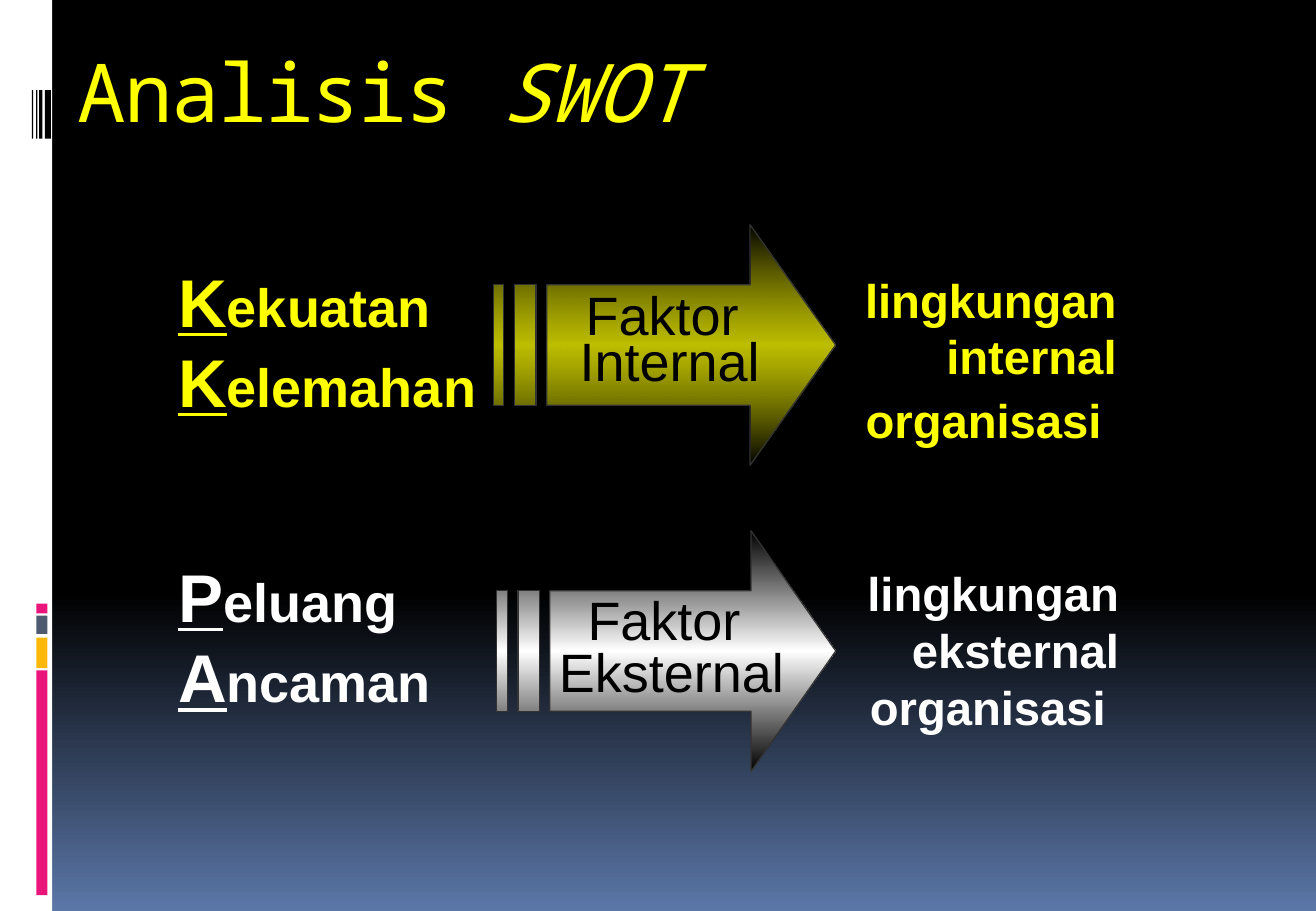
from pptx import Presentation
from pptx import util as u
from pptx.dml.color import RGBColor
from pptx.enum import shapes, text
from pptx.oxml import parse_xml
from pptx.oxml.ns import nsdecls, qn

YELLOW, WHITE, BLACK, PINK = "FFFF00", "FFFFFF", "000000", "EA157A"


def colour(value):
    return RGBColor.from_string(value)


def fill_gradient(fill, element, stops):
    """Fill from top to bottom with (percent, colour, opacity) stops."""
    fill.gradient()
    fill.gradient_angle = 270
    stop_list = next(element.iter(qn("a:gsLst")))
    for stop in list(stop_list):
        stop_list.remove(stop)
    for percent, value, opacity in stops:
        stop_list.append(parse_xml(
            f'<a:gs {nsdecls("a")} pos="{percent * 1000}"><a:srgbClr val="{value}">'
            f'<a:alpha val="{opacity * 1000}"/></a:srgbClr></a:gs>'))


def add_bar(page, left, top, width, height, value):
    bar = page.shapes.add_shape(shapes.MSO_SHAPE.RECTANGLE,
                                u.Pt(left), u.Pt(top), u.Pt(width), u.Pt(height))
    bar.shadow.inherit = False
    bar.fill.solid()
    bar.fill.fore_color.rgb = colour(value)
    bar.line.fill.background()


def add_text(page, left, top, width, height, spans, font_name, value, bold=False):
    """Add one paragraph of (words, size) spans."""
    box = page.shapes.add_textbox(u.Pt(left), u.Pt(top), u.Pt(width), u.Pt(height))
    box.text_frame.word_wrap = True
    para = box.text_frame.paragraphs[0]
    para.font.name = font_name
    para.font.bold = bold
    para.font.color.rgb = colour(value)
    for words, size in spans:
        span = para.add_run()
        span.text = words
        span.font.size = u.Pt(size)
    return para


def add_side_strip(page, width, height):
    add_bar(page, 0, 0, width, height, WHITE)
    # Coloured blocks
    for top, block_height, value in ((397.4, 133.2, PINK), (378, 18, "FEB80A"),
                                     (365, 10.8, "4E5B6F"), (357.8, 5.8, PINK)):
        add_bar(page, 21.6, top, 6.5, block_height, value)
    # Thin black stripes
    for left, stripe_width in ((26.6, 3.6), (23.2, 2), (21.4, 0.8), (18.9, 0.8)):
        add_bar(page, left, 53.4, stripe_width, 28.8, BLACK)


def add_title(page, left, top, width, height):
    para = add_text(page, left, top, width, height,
                    [("Analisis ", 48), ("SWOT", 48)], "Noto Sans Mono", YELLOW)
    para.runs[1].font.italic = True
    for span in para.runs:
        span.font._element.set("spc", "-100")


def add_arrow(page, left, top, width, height, lines, spacing, value, opacity):
    """Striped arrow; stripes and shaft sit on a grid of 32 by 4."""
    def point(column, row):
        return u.Pt(left + column * width / 32), u.Pt(top + row * height / 4)

    outlines = [[(24, 0), (24, 1), (5, 1), (5, 3), (24, 3), (24, 4), (32, 2)]]
    outlines += [[(a, 1), (a, 3), (b, 3), (b, 1)] for a, b in ((2, 4), (0, 1))]
    builder = page.shapes.build_freeform(*point(*outlines[0][0]))
    for index, outline in enumerate(outlines):
        if index:
            builder.move_to(*point(*outline[0]))
        builder.add_line_segments([point(*corner) for corner in outline[1:]], close=True)
    arrow = builder.convert_to_shape()
    arrow.shadow.inherit = False
    fill_gradient(arrow.fill, arrow._element,
                  [(0, BLACK, 100), (50, value, opacity), (100, BLACK, 100)])
    arrow.line.color.rgb = colour("333333")
    arrow.line.width = u.Pt(0.75)

    # Caption, centred on the shaft
    frame = arrow.text_frame
    frame.word_wrap = False
    frame.vertical_anchor = text.MSO_ANCHOR.MIDDLE
    frame.margin_left, frame.margin_right = u.Pt(width * 5 / 32), u.Pt(width / 8)
    for index, words in enumerate(lines):
        para = frame.add_paragraph() if index else frame.paragraphs[0]
        para.alignment = text.PP_ALIGN.CENTER
        para.line_spacing = spacing
        para.font.name = "Arial"
        para.font.size = u.Pt(32)
        para.font.color.rgb = colour(BLACK)
        para.add_run().text = words


def add_factor(page, left, top, width, value, opacity, labels, arrow, lines,
               spacing, outcome, outcome_top, outcome_width):
    """One row: two labels, an arrow and the environment it belongs to."""
    # Labels with an underlined initial
    for index, label in enumerate(labels):
        para = add_text(page, left, top + index * 47.5, 228, 55.4,
                        [(label[0], 40), (label[1:], 32)], "Arial", value, bold=True)
        para.runs[0].font.underline = True

    arrow_left, arrow_top, arrow_width = arrow
    add_arrow(page, left + arrow_left, top + arrow_top, arrow_width, 142.6,
              lines, spacing, value, opacity)

    # Environment, flush with the right edge of the row
    para = add_text(page, left + width - outcome_width, top + outcome_top,
                    outcome_width, 110, outcome, "Arial", value, bold=True)
    para.alignment = text.PP_ALIGN.RIGHT


def build_swot(deck):
    page = deck.slides.add_slide(deck.slide_layouts[6])
    fill_gradient(page.background.fill, page._element,
                  [(0, BLACK, 100), (65, BLACK, 100), (100, "5B77A8", 100)])
    add_side_strip(page, 31, 540)
    add_title(page, 38.9, 20.9, 699, 76.3)
    add_factor(page, 98.6, 150.5, 570.3, YELLOW, 74, ("Kekuatan", "Kelemahan"),
               (193.7, -17.3, 203), ("Faktor ", "Internal"), 0.7,
               [("lingkungan internal organisasi", 28), (" ", 32)], 6.5, 208)
    add_factor(page, 98.6, 325.4, 571.7, WHITE, 100, ("Peluang", "Ancaman"),
               (195.9, -10.8, 200.9), ("Faktor ", "Eksternal"), 0.8,
               [("lingkungan eksternal organisasi ", 28)], 5.8, 203)


def main():
    deck = Presentation()
    deck.slide_width, deck.slide_height = u.Pt(780), u.Pt(540)
    build_swot(deck)
    deck.save("out.pptx")


if __name__ == "__main__":
    main()
